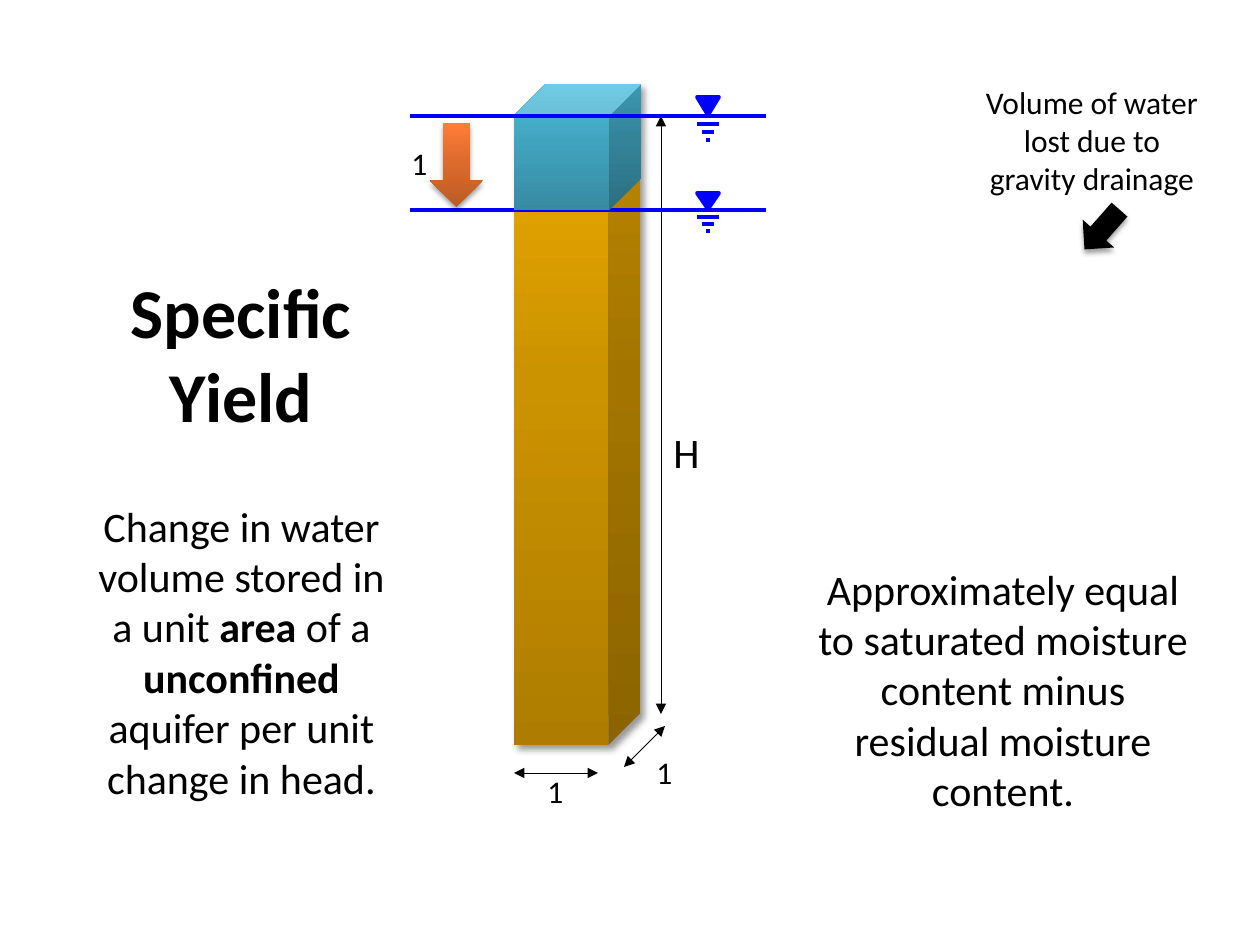
"""Build the specific yield slide: a unit aquifer column with a falling water table."""
from lxml import etree
from pptx import Presentation
from pptx.dml.color import RGBColor
from pptx.enum.shapes import MSO_CONNECTOR, MSO_SHAPE
from pptx.enum.text import MSO_AUTO_SIZE, PP_ALIGN
from pptx.oxml.ns import qn
from pptx.util import Pt

STRAIGHT = MSO_CONNECTOR.STRAIGHT
CUBE, DOWN_ARROW = MSO_SHAPE.CUBE, MSO_SHAPE.DOWN_ARROW
LEFT, CENTER = PP_ALIGN.LEFT, PP_ALIGN.CENTER
FIT_TEXT = MSO_AUTO_SIZE.SHAPE_TO_FIT_TEXT
EMU_PER_PX = 914400 / 126
BLACK, BLUE = "000000", "0000FF"
SAND = ("AE7D00", "CC9300", "EEAB00")
WATER = ("378BA2", "41A4BF", "4BBFDE")
ORANGE = ("BC5B26", "DD6B2D", "FF7D37")
COLUMN_SHADOW = (40, 4, 3, 45)
ARROW_SHADOW = (38, 3.1, 2, 90)


def px(*lengths):
    return [round(length * EMU_PER_PX) for length in lengths]


def color(value):
    return RGBColor.from_string(value)


def add_color(parent, value):
    return etree.SubElement(parent, qn("a:srgbClr"), val=value)


class SlideBuilder:
    """Hold the text style and the current slide, and draw each kind of element."""

    font = "Calibri"

    def __init__(self, slide):
        self.slide = slide

    def text(self, box, runs, size, align=LEFT, wrap=True):
        shape = self.slide.shapes.add_textbox(*px(*box))
        frame = shape.text_frame
        frame.word_wrap = wrap
        frame.auto_size = FIT_TEXT
        paragraph = frame.paragraphs[0]
        paragraph.alignment = align
        for words, bold in runs:
            run = paragraph.add_run()
            run.text = words
            run.font.name = self.font
            run.font.size = Pt(size)
            run.font.bold = bold
            run.font.color.rgb = color(BLACK)

    def label(self, left, top, width, height, words, size):
        self.text((left, top, width, height), [(words, False)], size, wrap=False)

    def shape(self, kind, box, colors, shadow=None, rotation=0, depth=None):
        shape = self.slide.shapes.add_shape(kind, *px(*box))
        shape.shadow.inherit = False
        shape.line.fill.background()
        shape.rotation = rotation
        if depth:
            shape.adjustments[0] = depth
        if len(colors) == 1:
            shape.fill.solid()
            shape.fill.fore_color.rgb = color(colors[0])
        else:
            self.gradient(shape, colors)
        if shadow:
            self.shadow(shape, *shadow)

    def gradient(self, shape, colors):
        shape.fill.gradient()
        shape.fill.gradient_angle = 90
        stops = shape._element.spPr.find(".//" + qn("a:gsLst"))
        for stop in list(stops):
            stops.remove(stop)
        for position, value in zip((0, 55, 100), colors):
            stop = etree.SubElement(stops, qn("a:gs"), pos=str(position * 1000))
            add_color(stop, value)

    def shadow(self, shape, opacity, blur, distance, angle):
        effects = shape._element.spPr.find(qn("a:effectLst"))
        outer = etree.SubElement(
            effects, qn("a:outerShdw"), blurRad=str(Pt(blur)), dist=str(Pt(distance)),
            dir=str(angle * 60000), rotWithShape="0")
        etree.SubElement(add_color(outer, BLACK), qn("a:alpha"), val=str(opacity * 1000))

    def line(self, shapes, points, value, width):
        connector = shapes.add_connector(STRAIGHT, *px(*points))
        connector.line.color.rgb = color(value)
        connector.line.width = Pt(width)
        etree.SubElement(connector._element.spPr, qn("a:effectLst"))
        return connector

    def dimension(self, *points):
        connector = self.line(self.slide.shapes, points, BLACK, 0.5)
        outline = connector.line._get_or_add_ln()
        for end in ("a:headEnd", "a:tailEnd"):
            etree.SubElement(outline, qn(end), type="triangle")

    def water_table(self, y, step):
        shapes = self.slide.shapes.add_group_shape().shapes
        center = 708
        self.line(shapes, (410, y, 766, y), BLUE, 2.25)
        top = y - 2 * step - 3
        outline = shapes.build_freeform(center - 11, top, scale=EMU_PER_PX)
        outline.add_line_segments([(center, y - 1), (center + 11, top)], close=True)
        triangle = outline.convert_to_shape()
        triangle.shadow.inherit = False
        triangle.fill.solid()
        triangle.fill.fore_color.rgb = color(BLUE)
        triangle.line.color.rgb = color(BLUE)
        triangle.line.width = Pt(2.25)
        for count, half in enumerate((11, 6, 2), 1):
            dash_y = y + count * step
            self.line(shapes, (center - half, dash_y, center + half, dash_y), BLUE, 2.25)


def main():
    presentation = Presentation()
    presentation.slide_width, presentation.slide_height = px(1260, 945)
    builder = SlideBuilder(presentation.slides.add_slide(presentation.slide_layouts[6]))

    builder.shape(CUBE, (514, 84, 126, 661), SAND, COLUMN_SHADOW, depth=0.25)
    builder.dimension(514, 773, 598, 773)
    builder.dimension(624, 767, 665, 726)
    builder.dimension(661, 714, 661, 116)
    builder.label(535, 766, 41, 51, "1", 18)
    builder.label(644, 747, 41, 51, "1", 18)
    builder.label(661, 420, 52, 63, "H", 24)
    builder.water_table(210, 7)
    builder.label(399, 138, 41, 51, "1", 18)
    builder.shape(DOWN_ARROW, (430, 123, 53, 84), ORANGE, ARROW_SHADOW)

    builder.text((73, 262, 336, 183), [("Specific Yield", True)], 40, CENTER)
    builder.text((84, 494, 315, 318), [
        ("Change in water volume stored in a unit ", False),
        ("area", True),
        (" of a ", False),
        ("unconfined", True),
        (" aquifer per unit change in head.", False),
    ], 24, CENTER)
    builder.shape(CUBE, (514, 84, 126, 126), WATER, depth=0.25)
    builder.text((798, 557, 410, 267), [
        ("Approximately equal to saturated moisture content minus "
         "residual moisture content.", False)], 24, CENTER)
    builder.shape(CUBE, (515, 84, 126, 126), WATER, depth=0.25)
    builder.text((966, 77, 252, 127), [
        ("Volume of water lost due to gravity drainage", False)], 18, CENTER)
    builder.shape(DOWN_ARROW, (1081, 203, 42, 53), (BLACK,), ARROW_SHADOW, rotation=41.4)
    builder.water_table(116, 8)

    presentation.save("out.pptx")


if __name__ == "__main__":
    main()
